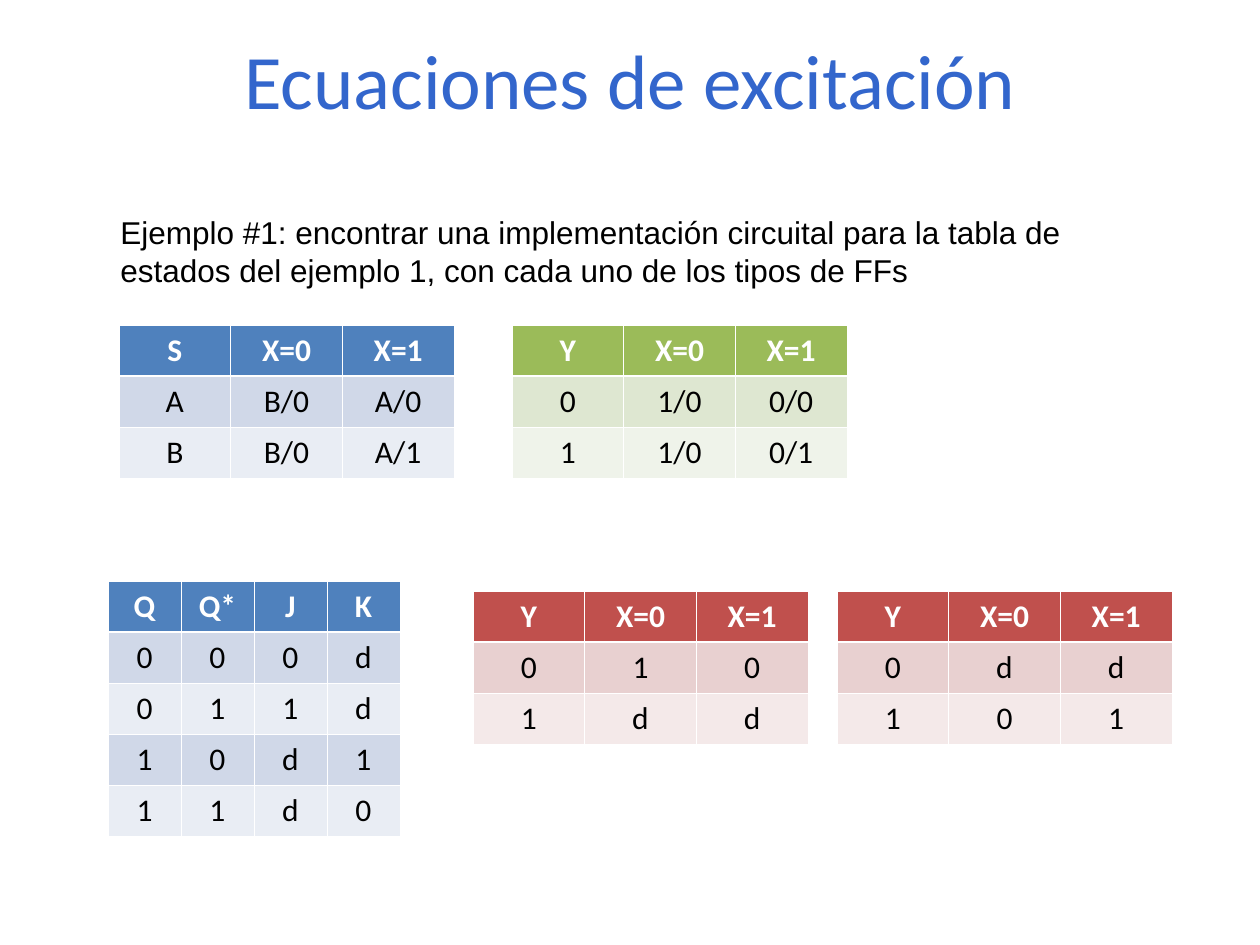
from lxml import etree
from pptx import Presentation
from pptx.dml.color import RGBColor
from pptx.enum.text import MSO_ANCHOR, PP_ALIGN
from pptx.oxml.ns import qn
from pptx.util import Emu, Pt

CENTER, LEFT = PP_ALIGN.CENTER, PP_ALIGN.LEFT
MIDDLE, TOP = MSO_ANCHOR.MIDDLE, MSO_ANCHOR.TOP

PX_PER_INCH = 126
ROW_HEIGHT = 51
STATE_WIDTH, EXCITATION_WIDTH = 335, 292
STATE_TOP, EQUATION_TOP = 325, 591
THIN, THICK = Pt(0.45), Pt(1.47)

WHITE = RGBColor(0xFF, 0xFF, 0xFF)
BLACK = RGBColor(0x00, 0x00, 0x00)
TITLE_BLUE = RGBColor(0x33, 0x66, 0xCC)

# Each palette holds the header fill and the two alternating row fills.
BLUE = (RGBColor(0x4F, 0x81, 0xBD), RGBColor(0xD0, 0xD8, 0xE8), RGBColor(0xE9, 0xED, 0xF4))
GREEN = (RGBColor(0x9B, 0xBB, 0x59), RGBColor(0xDE, 0xE7, 0xD1), RGBColor(0xEF, 0xF3, 0xEA))
RED = (RGBColor(0xC0, 0x50, 0x4D), RGBColor(0xE8, 0xD0, 0xD0), RGBColor(0xF4, 0xE9, 0xE9))

STATE_HEADER = ("S", "X=0", "X=1")
CODED_HEADER = ("Y", "X=0", "X=1")
TABLES = (
    (119, STATE_TOP, STATE_WIDTH, BLUE,
     (STATE_HEADER, ("A", "B/0", "A/0"), ("B", "B/0", "A/1"))),
    (512, STATE_TOP, STATE_WIDTH, GREEN,
     (CODED_HEADER, ("0", "1/0", "0/0"), ("1", "1/0", "0/1"))),
    (473, EQUATION_TOP, STATE_WIDTH, RED,
     (CODED_HEADER, ("0", "1", "0"), ("1", "d", "d"))),
    (108, 581, EXCITATION_WIDTH, BLUE,
     (("Q", "Q*", "J", "K"), ("0", "0", "0", "d"), ("0", "1", "1", "d"),
      ("1", "0", "d", "1"), ("1", "1", "d", "0"))),
    (837, EQUATION_TOP, STATE_WIDTH, RED,
     (CODED_HEADER, ("0", "d", "d"), ("1", "0", "1"))),
)


def px(length):
    return Emu(round(length * 914400 / PX_PER_INCH))


def style_text(frame, font_name, size, color, align, bold=False):
    for para in frame.paragraphs:
        para.alignment = align
        for span in para.runs:
            span.font.name = font_name
            span.font.size = Pt(size)
            span.font.color.rgb = color
            span.font.bold = bold


def add_text(page, bounds, text, font_name, size, color, align, anchor):
    box = page.shapes.add_textbox(*map(px, bounds))
    frame = box.text_frame
    frame.word_wrap = True
    frame.vertical_anchor = anchor
    frame.text = text
    style_text(frame, font_name, size, color, align)


def add_borders(cell, top, bottom):
    """Draw white cell borders; call before the fill, which must follow them."""
    properties = cell._tc.get_or_add_tcPr()
    for side, width in (("L", THIN), ("R", THIN), ("T", top), ("B", bottom)):
        line = etree.SubElement(properties, qn(f"a:ln{side}"), w=str(width))
        fill = etree.SubElement(line, qn("a:solidFill"))
        etree.SubElement(fill, qn("a:srgbClr"), val=str(WHITE))


def add_state_table(page, left, top, width, palette, rows):
    header_fill, *band_fills = palette
    frame = page.shapes.add_table(
        len(rows), len(rows[0]), px(left), px(top), px(width), px(ROW_HEIGHT * len(rows)))
    for row_index, values in enumerate(rows):
        is_header = row_index == 0
        fill = header_fill if is_header else band_fills[(row_index - 1) % 2]
        for column_index, value in enumerate(values):
            cell = frame.table.cell(row_index, column_index)
            add_borders(cell, THICK if row_index == 1 else THIN, THICK if is_header else THIN)
            cell.fill.solid()
            cell.fill.fore_color.rgb = fill
            cell.text_frame.text = value
            style_text(cell.text_frame, "Calibri", 18,
                       WHITE if is_header else BLACK, CENTER, bold=is_header)


def main():
    deck = Presentation()
    deck.slide_width, deck.slide_height = px(1260), px(945)
    page = deck.slides.add_slide(deck.slide_layouts[6])
    add_text(page, (95, 0, 1071, 158), "Ecuaciones de excitación",
             "Calibri", 44, TITLE_BLUE, CENTER, MIDDLE)
    add_text(page, (108, 207, 1053, 88),
             "Ejemplo #1: encontrar una implementación circuital para la tabla de "
             "estados del ejemplo 1, con cada uno de los tipos de FFs",
             "Arial", 18, BLACK, LEFT, TOP)
    for table in TABLES:
        add_state_table(page, *table)
    deck.save("out.pptx")


if __name__ == "__main__":
    main()
